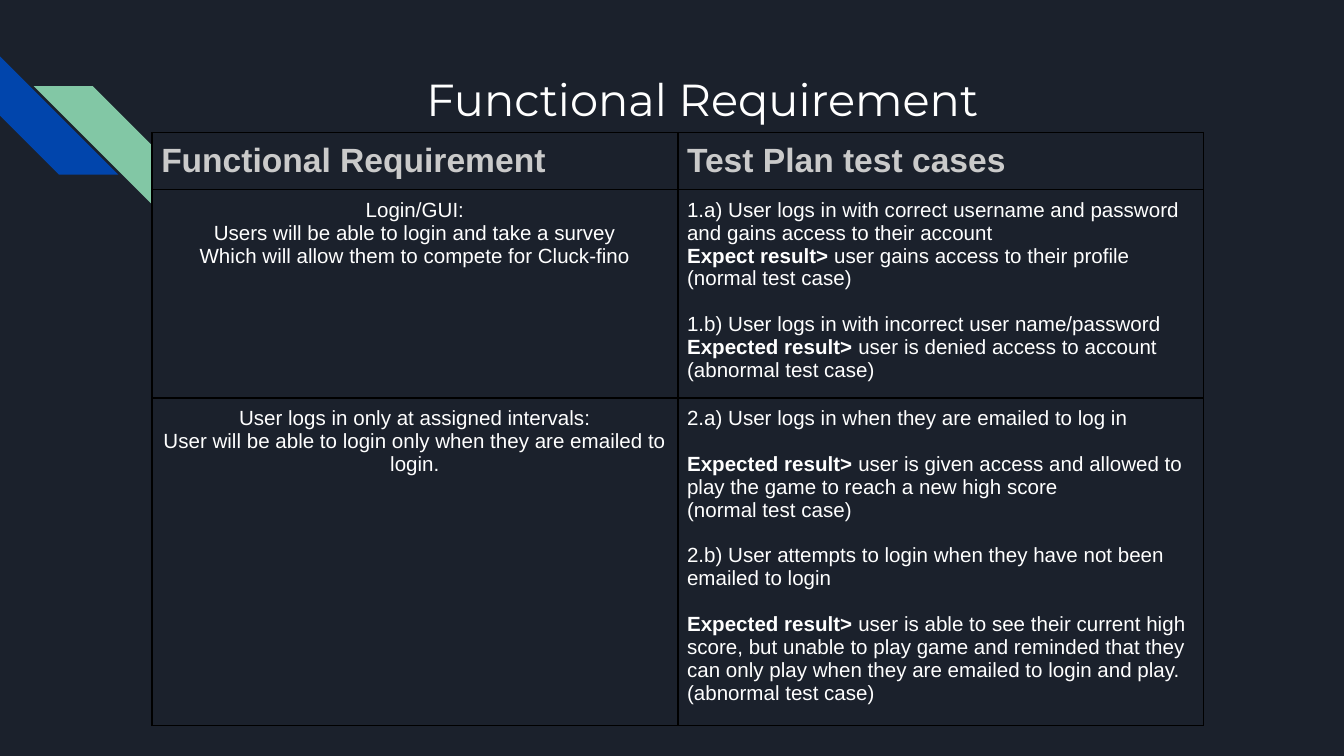
import pptx
import pptx.dml.color
import pptx.enum.shapes
import pptx.enum.text
import pptx.oxml
import pptx.oxml.ns
import pptx.util
from collections import namedtuple

Pt = pptx.util.Pt
RGBColor = pptx.dml.color.RGBColor
ALIGN = pptx.enum.text.PP_ALIGN
Box = namedtuple("Box", "left top width height")
Line = namedtuple("Line", "text lead gap", defaults=("", False))

NAVY = RGBColor(0x1B, 0x21, 0x2C)
BLUE = RGBColor(0x01, 0x45, 0xAC)
GREEN = RGBColor(0x82, 0xC7, 0xA5)
WHITE = RGBColor(0xFF, 0xFF, 0xFF)
GREY = RGBColor(0xCA, 0xCA, 0xCA)
BLACK = RGBColor(0, 0, 0)

INSET = 5
BLANK_LINE = 12.3
ROW_HEIGHTS = (30.5, 111.6, 175.7)
HEADINGS = ("Functional Requirement", "Test Plan test cases")
REQUIREMENTS = (
    (
        (
            Line("Login/GUI:"),
            Line("Users will be able to login and take a survey"),
            Line("Which will allow them to compete for Cluck-fino"),
        ),
        (
            Line("1.a) User logs in with correct username and password and gains access to their account"),
            Line(" user gains access to their profile", "Expect result>"),
            Line("(normal test case)"),
            Line("1.b) User logs in with incorrect user name/password", gap=True),
            Line(" user is denied access to account", "Expected result>"),
            Line("(abnormal test case)"),
        ),
    ),
    (
        (
            Line("User logs in only at assigned intervals:"),
            Line("User will be able to login only when they are emailed to login."),
        ),
        (
            Line("2.a) User logs in when they are emailed to log in"),
            Line(" user is given access and allowed to play the game to reach a new high score",
                 "Expected result>", True),
            Line("(normal test case)"),
            Line("2.b) User attempts to login when they have not been emailed to login", gap=True),
            Line(" user is able to see their current high score, but unable to play game and "
                 "reminded that they can only play when they are emailed to login and play.",
                 "Expected result>", True),
            Line("(abnormal test case)"),
        ),
    ),
)


def place(shape, box):
    shape.left, shape.top, shape.width, shape.height = (Pt(length) for length in box)


def style_font(para, name, size, color, bold=None):
    para.font.name = name
    para.font.size = Pt(size)
    para.font.color.rgb = color
    para.font.bold = bold


def add_stripes(page, box):
    size = 63.4
    offsets = ((0, 0, BLUE), (box.width - size, box.height - size, GREEN))
    stripes = []
    for across, down, color in offsets:
        stripe = page.shapes.add_shape(
            pptx.enum.shapes.MSO_SHAPE.DIAGONAL_STRIPE,
            Pt(box.left + across), Pt(box.top + down), Pt(size), Pt(size))
        stripe.adjustments[0] = 0.5
        stripe.shadow.inherit = False
        stripe.fill.solid()
        stripe.fill.fore_color.rgb = color
        stripe.line.fill.background()
        stripes.append(stripe)
    blue_stripe, green_stripe = stripes
    blue_stripe.rotation = 270
    green_stripe.element.spPr.xfrm.set("flipH", "1")


def add_title(page, box):
    title = page.shapes.title
    place(title, box)
    frame = title.text_frame
    frame.text = "Functional Requirement "
    frame.word_wrap = True
    frame.auto_size = pptx.enum.text.MSO_AUTO_SIZE.NONE
    frame.vertical_anchor = pptx.enum.text.MSO_ANCHOR.TOP
    frame.margin_left = frame.margin_right = Pt(7.2)
    frame.margin_top = frame.margin_bottom = Pt(7.2)
    para = frame.paragraphs[0]
    para.alignment = ALIGN.CENTER
    style_font(para, "Montserrat", 24, WHITE)


def format_cell(cell):
    cell.margin_left = cell.margin_right = Pt(INSET)
    cell.margin_top = cell.margin_bottom = Pt(INSET)
    cell.fill.background()
    properties = cell._tc.get_or_add_tcPr()
    for index, side in enumerate(("lnL", "lnR", "lnT", "lnB")):
        border = pptx.oxml.parse_xml(
            f'<a:{side} {pptx.oxml.ns.nsdecls("a")} w="{Pt(1)}">'
            f'<a:solidFill><a:srgbClr val="{BLACK}"/></a:solidFill></a:{side}>')
        properties.insert(index, border)


def write_lines(cell, lines, alignment):
    frame = cell.text_frame
    for index, line in enumerate(lines):
        para = frame.add_paragraph() if index else frame.paragraphs[0]
        para.alignment = alignment
        para.space_before = Pt(BLANK_LINE if line.gap else 0)
        style_font(para, "Arial", 11, WHITE, False)
        if line.lead:
            span = para.add_run()
            span.text = line.lead
            span.font.bold = True
        span = para.add_run()
        span.text = line.text


def add_requirements(page, box):
    table = page.shapes.add_table(
        len(ROW_HEIGHTS), len(HEADINGS), *(Pt(length) for length in box)).table
    table.first_row = table.horz_banding = False
    for column in table.columns:
        column.width = Pt(box.width / len(HEADINGS))
    for row, height in zip(table.rows, ROW_HEIGHTS):
        row.height = Pt(height)
    for cell in table.iter_cells():
        format_cell(cell)
    for column, heading in enumerate(HEADINGS):
        cell = table.cell(0, column)
        cell.text = heading
        style_font(cell.text_frame.paragraphs[0], "Arial", 18, GREY, True)
    for row, (requirement, test_cases) in enumerate(REQUIREMENTS, start=1):
        write_lines(table.cell(row, 0), requirement, ALIGN.CENTER)
        write_lines(table.cell(row, 1), test_cases, ALIGN.LEFT)


def main():
    deck = pptx.Presentation()
    deck.slide_width, deck.slide_height = Pt(720), Pt(405)
    page = deck.slides.add_slide(deck.slide_layouts[5])
    page.background.fill.solid()
    page.background.fill.fore_color.rgb = NAVY
    add_stripes(page, Box(0, 30.2, 81.4, 79.3))
    add_title(page, Box(102.2, 31, 554.4, 72))
    add_requirements(page, Box(81.4, 71, 563.4, sum(ROW_HEIGHTS)))
    deck.save("out.pptx")


if __name__ == "__main__":
    main()
